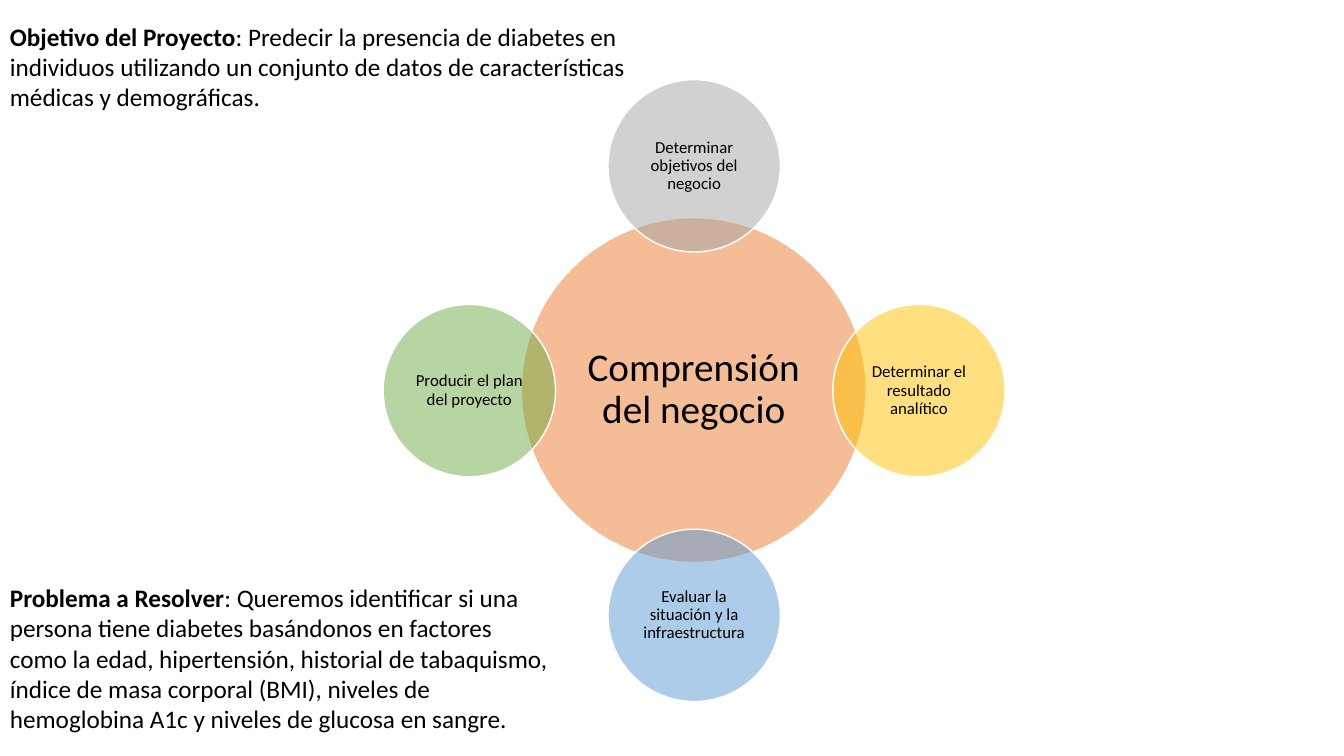
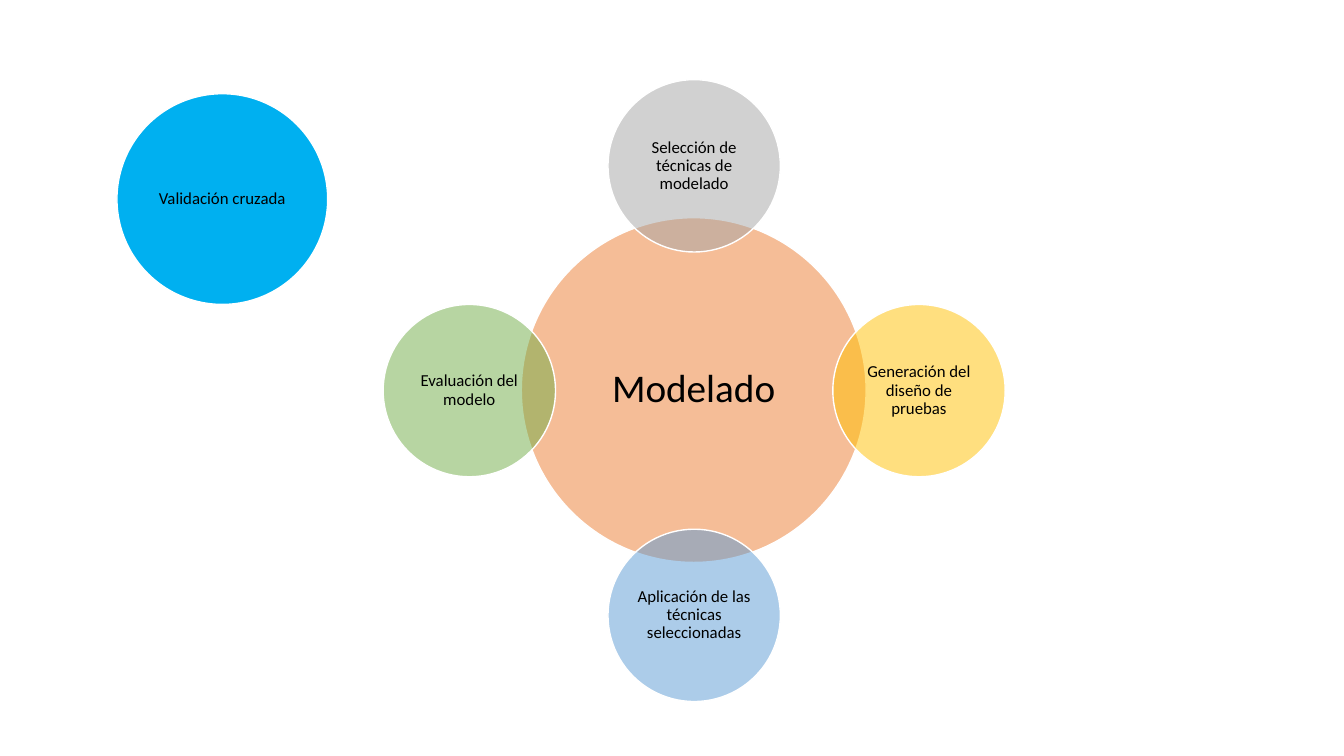
import lxml.etree
import pptx
import pptx.dml.color
import pptx.enum.shapes
import pptx.enum.text
import pptx.oxml.ns
import pptx.util

RGB = pptx.dml.color.RGBColor
BLACK = RGB(0x00, 0x00, 0x00)
WHITE = RGB(0xFF, 0xFF, 0xFF)
ORANGE = RGB(0xED, 0x7D, 0x31)
GRAY = RGB(0xA5, 0xA5, 0xA5)
GOLD = RGB(0xFF, 0xC0, 0x00)
BLUE = RGB(0x5B, 0x9B, 0xD5)
GREEN = RGB(0x70, 0xAD, 0x47)
CYAN = RGB(0x00, 0xB0, 0xF0)

FONT = "Calibri"
SCALE = 9144  # EMU per px, 100 px to the inch
HUB = (688, 387)
HUB_SIZE = 342
STEP_SIZE = 171
REACH = 223
# Direction from the hub and colour of each step, clockwise from the top
STEPS = [(0, -1, GRAY), (1, 0, GOLD), (0, 1, BLUE), (-1, 0, GREEN)]


def px(count):
    return pptx.util.Emu(count * SCALE)


def style(run, size, bold=False):
    run.font.name = FONT
    run.font.size = pptx.util.Pt(size)
    run.font.bold = bold
    run.font.color.rgb = BLACK


def fade(shape, percent):
    """Set the opacity of a solid fill."""
    qn = pptx.oxml.ns.qn
    color = shape.element.spPr.find(qn("a:solidFill")).find(qn("a:srgbClr"))
    lxml.etree.SubElement(color, qn("a:alpha")).set("val", str(percent * 1000))


def add_disc(shapes, center, size, color, text, points=12, inset=2, alpha=50):
    """Add a labelled circle around its center."""
    x, y = (middle - size // 2 for middle in center)
    disc = shapes.add_shape(pptx.enum.shapes.MSO_SHAPE.OVAL,
                            px(x), px(y), px(size), px(size))
    disc.shadow.inherit = False
    disc.fill.solid()
    disc.fill.fore_color.rgb = color
    if alpha < 100:
        fade(disc, alpha)
    disc.line.color.rgb = WHITE
    disc.line.width = pptx.util.Pt(1)

    frame = disc.text_frame
    frame.word_wrap = True
    frame.vertical_anchor = pptx.enum.text.MSO_ANCHOR.MIDDLE
    frame.margin_left = frame.margin_right = px(inset)
    frame.margin_top = frame.margin_bottom = px(inset)
    frame.text = text
    para = frame.paragraphs[0]
    para.alignment = pptx.enum.text.PP_ALIGN.CENTER
    para.line_spacing = 0.9
    style(para.runs[0], points)


def add_wheel(slide, topic, labels):
    """Add a central topic with its four steps around it."""
    shapes = slide.shapes.add_group_shape().shapes
    add_disc(shapes, HUB, HUB_SIZE, ORANGE, topic, points=28, inset=4)
    for (dx, dy, color), label in zip(STEPS, labels):
        center = (HUB[0] + dx * REACH, HUB[1] + dy * REACH)
        add_disc(shapes, center, STEP_SIZE, color, label)


def add_note(slide, top, width, height, lead, body):
    """Add a text at the left edge that opens with a bold lead."""
    box = slide.shapes.add_textbox(0, px(top), px(width), px(height))
    frame = box.text_frame
    frame.word_wrap = True
    frame.auto_size = pptx.enum.text.MSO_AUTO_SIZE.SHAPE_TO_FIT_TEXT
    para = frame.paragraphs[0]
    for text, bold in ((lead, True), (body, False)):
        run = para.add_run()
        run.text = text
        style(run, 18, bold)


def main():
    deck = pptx.Presentation()
    deck.slide_width, deck.slide_height = px(1333), px(750)
    blank = deck.slide_layouts[6]

    slide = deck.slides.add_slide(blank)
    add_wheel(slide, "Comprensión del negocio", [
        "Determinar objetivos del negocio",
        "Determinar el resultado analítico",
        "Evaluar la situación y la infraestructura",
        "Producir el plan del proyecto",
    ])
    add_note(slide, 16, 667, 101, "Objetivo del Proyecto",
             ": Predecir la presencia de diabetes en individuos utilizando "
             "un conjunto de datos de características médicas y "
             "demográficas.")
    add_note(slide, 573, 557, 162, "Problema a Resolver",
             ": Queremos identificar si una persona tiene diabetes "
             "basándonos en factores como la edad, hipertensión, historial "
             "de tabaquismo, índice de masa corporal (BMI), niveles de "
             "hemoglobina A1c y niveles de glucosa en sangre.")

    slide = deck.slides.add_slide(blank)
    add_wheel(slide, "Modelado", [
        "Selección de técnicas de modelado",
        "Generación del diseño de pruebas",
        "Aplicación de las técnicas seleccionadas",
        "Evaluación del modelo",
    ])
    add_disc(slide.shapes, (220, 197), 209, CYAN, "Validación cruzada",
             alpha=100)

    deck.save("out.pptx")


if __name__ == "__main__":
    main()
